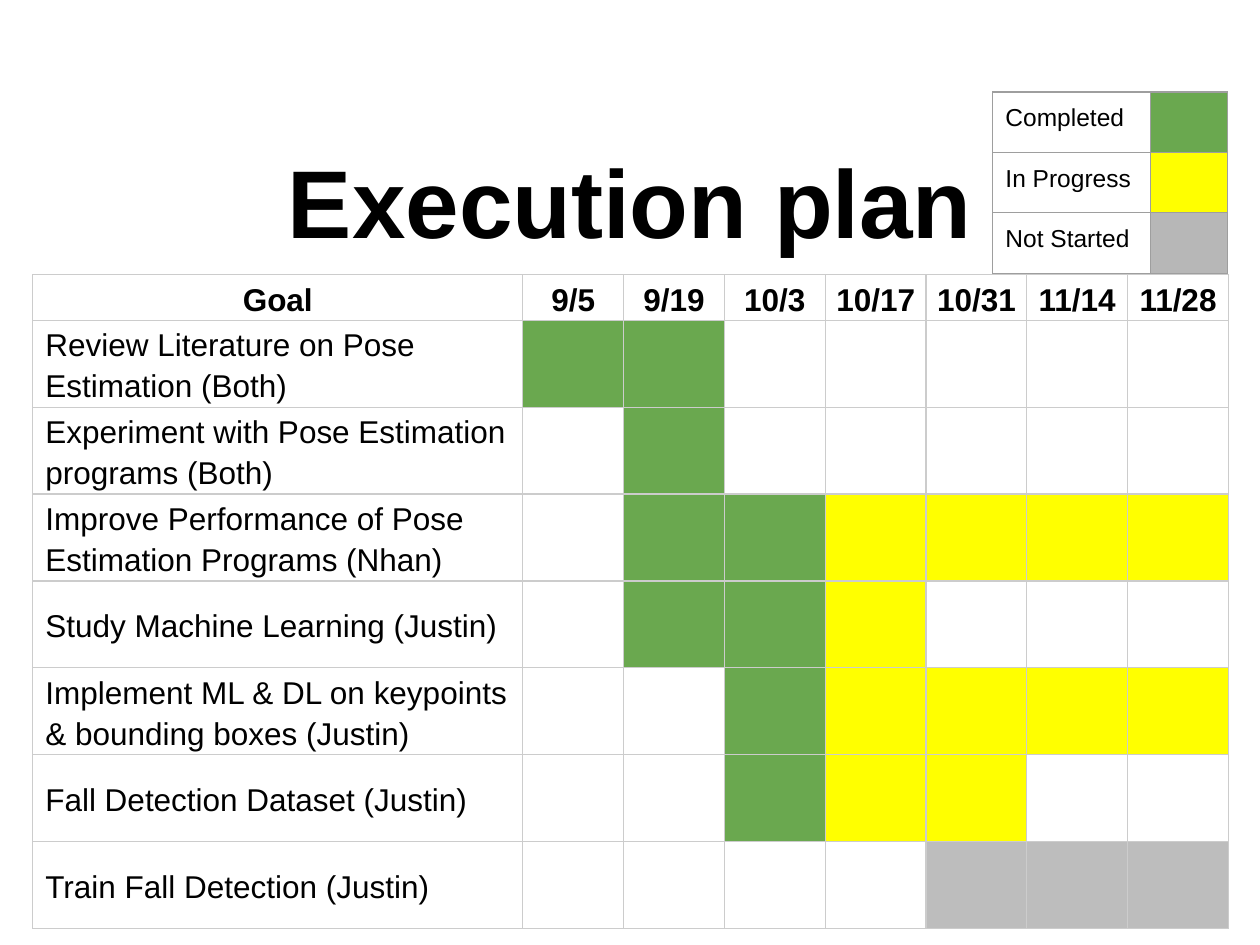
"""Build the execution plan slide: a Gantt-style table with a status legend."""
from lxml import etree
from pptx import Presentation
from pptx.dml.color import RGBColor
from pptx.enum.text import MSO_ANCHOR, PP_ALIGN
from pptx.util import Inches, Pt

CENTER, LEFT = PP_ALIGN.CENTER, PP_ALIGN.LEFT
TOP, MIDDLE, BOTTOM = MSO_ANCHOR.TOP, MSO_ANCHOR.MIDDLE, MSO_ANCHOR.BOTTOM
NAMESPACE = "http://schemas.openxmlformats.org/drawingml/2006/main"
COLORS = {
    "text": "000000", "blank": "FFFFFF", "completed": "6AA84F",
    "progress": "FFFF00", "waiting": "BDBDBD", "legend waiting": "B7B7B7",
    "plan border": "CCCCCC", "legend border": "9E9E9E",
}
STATUSES = {"C": "completed", "P": "progress", "N": "waiting", ".": "blank"}
DATES = ["9/5", "9/19", "10/3", "10/17", "10/31", "11/14", "11/28"]
GOALS = [
    ("Review Literature on Pose Estimation (Both)", "CC....."),
    ("Experiment with Pose Estimation programs (Both)", ".C....."),
    ("Improve Performance of Pose Estimation Programs (Nhan)", ".CCPPPP"),
    ("Study Machine Learning (Justin)", ".CCP..."),
    ("Implement ML & DL on keypoints & bounding boxes (Justin)", "..CPPPP"),
    ("Fall Detection Dataset (Justin)", "..CPP.."),
    ("Train Fall Detection (Justin)", "....NNN"),
]
LEGEND = [
    ("Completed", "completed"),
    ("In Progress", "progress"),
    ("Not Started", "legend waiting"),
]


def add_grid(page, left, top, widths, heights):
    """Add a table with the given column widths and row heights in inches."""
    frame = page.shapes.add_table(
        len(heights), len(widths), Inches(left), Inches(top),
        Inches(sum(widths)), Inches(sum(heights)))
    table = frame.table
    table.first_row = table.horz_banding = False
    for column, width in zip(table.columns, widths):
        column.width = Inches(width)
    for row, height in zip(table.rows, heights):
        row.height = Inches(height)
    return table


def write_cell(cell, text="", *, border, fill="blank", size=18, bold=False,
               align=LEFT, anchor=MIDDLE, margins=(0.1, 0.02), spacing=None):
    """Format one table cell and write its text."""
    properties = cell._tc.get_or_add_tcPr()
    for side in ("lnL", "lnR", "lnT", "lnB"):
        line = etree.SubElement(properties, f"{{{NAMESPACE}}}{side}", w=str(Pt(0.75)))
        paint = etree.SubElement(line, f"{{{NAMESPACE}}}solidFill")
        etree.SubElement(paint, f"{{{NAMESPACE}}}srgbClr", val=COLORS[border])
    cell.fill.solid()
    cell.fill.fore_color.rgb = RGBColor.from_string(COLORS[fill])
    cell.margin_left = cell.margin_right = Inches(margins[0])
    cell.margin_top = cell.margin_bottom = Inches(margins[1])
    cell.vertical_anchor = anchor
    para = cell.text_frame.paragraphs[0]
    para.alignment = align
    para.line_spacing = spacing
    if text:
        span = para.add_run()
        span.text = text
        span.font.name = "Arial"
        span.font.size = Pt(size)
        span.font.bold = bold
        span.font.color.rgb = RGBColor.from_string(COLORS["text"])


deck = Presentation()
deck.slide_width, deck.slide_height = Inches(10), Inches(7.5)
page = deck.slides.add_slide(deck.slide_layouts[5])

title = page.shapes.title
title.left, title.top = Inches(0.5), Inches(1.15)
title.width, title.height = Inches(9), Inches(0.88)
title.text_frame.text = "Execution plan"
title.text_frame.vertical_anchor = MIDDLE
para = title.text_frame.paragraphs[0]
para.alignment = CENTER
para.font.name = "Arial"
para.font.size = Pt(55)
para.font.bold = True
para.font.color.rgb = RGBColor.from_string(COLORS["text"])

plan = add_grid(page, 0.26, 2.18, [3.89] + [0.8] * len(DATES),
                [0.36] + [0.69] * len(GOALS))
for column, heading in enumerate(["Goal"] + DATES):
    write_cell(plan.cell(0, column), heading, border="plan border", bold=True,
               align=CENTER, anchor=BOTTOM, margins=(0.03, 0.02),
               spacing=1.15 if column else None)
for row, (goal, schedule) in enumerate(GOALS, start=1):
    write_cell(plan.cell(row, 0), goal, border="plan border", spacing=1.15)
    for column, status in enumerate(schedule, start=1):
        write_cell(plan.cell(row, column), border="plan border",
                   fill=STATUSES[status])

legend = add_grid(page, 7.88, 0.73, [1.25, 0.61], [0.48] * len(LEGEND))
for row, (label, fill) in enumerate(LEGEND):
    write_cell(legend.cell(row, 0), label, border="legend border", size=14,
               anchor=TOP, margins=(0.1, 0.1))
    write_cell(legend.cell(row, 1), border="legend border", fill=fill)

deck.save("out.pptx")
